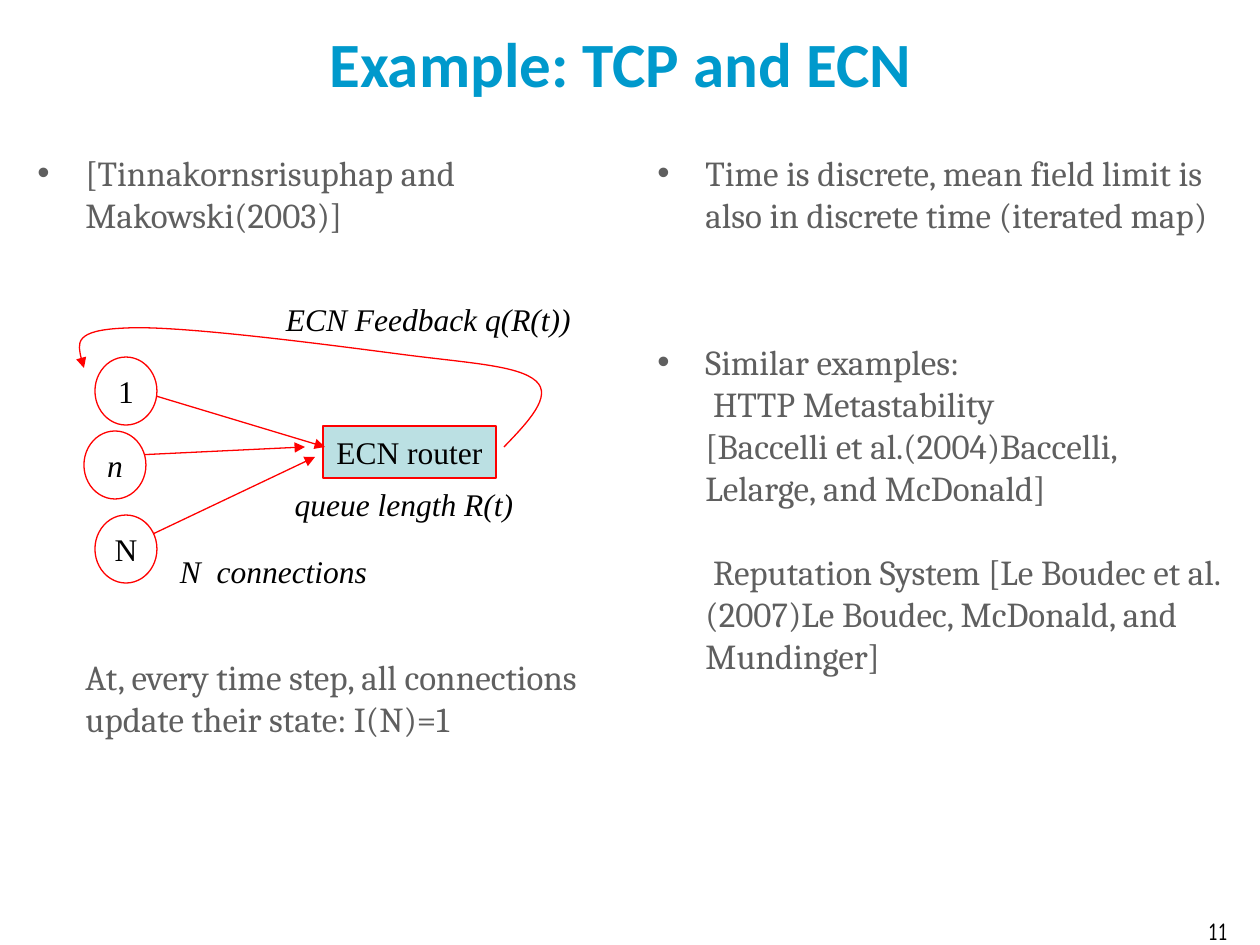
from dataclasses import dataclass

from lxml import etree
from pptx import Presentation
from pptx import util as u
from pptx.dml.color import RGBColor
from pptx.enum import shapes, text
from pptx.oxml import ns

PX = 914400 / 126
HUES = {"title": "0099CC", "body": "5F5F5F", "ink": "000000",
        "line": "FF0000", "router": "BBE0E3", "node": "FFFFFF"}
SERIF = "Times New Roman"


@dataclass
class Box:
    x: int
    y: int
    w: int
    h: int


@dataclass
class Item:
    words: str
    bullet: bool = False
    before: int = 0


@dataclass
class Label:
    words: str
    box: Box
    wrap: bool = False


@dataclass
class Node:
    words: str
    x: int
    y: int
    italic: bool = False


@dataclass
class Arrow:
    start: tuple[int, int]
    end: tuple[int, int]


def emu(n: int) -> int:
    return round(n * PX)


def rgb(name: str) -> RGBColor:
    return RGBColor.from_string(HUES[name])


def place(box: Box) -> list[int]:
    return [emu(n) for n in (box.x, box.y, box.w, box.h)]


def write(shape, items: list[Item], *, size: int = 18, font: str = SERIF,
          hue: str = "ink", bold: bool = False, italic: bool = False,
          center: bool = True, middle: bool = False, wrap: bool = True,
          indent: int = 0) -> None:
    frame = shape.text_frame
    frame.word_wrap = wrap
    frame.vertical_anchor = text.MSO_ANCHOR.MIDDLE if middle else text.MSO_ANCHOR.TOP
    for i, item in enumerate(items):
        para = frame.add_paragraph() if i else frame.paragraphs[0]
        para.text = item.words
        para.alignment = text.PP_ALIGN.CENTER if center else text.PP_ALIGN.LEFT
        para.space_before = u.Pt(item.before)
        props = para._p.get_or_add_pPr()
        if indent:
            props.set("marL", str(emu(indent)))
            props.set("indent", str(-emu(indent) if item.bullet else 0))
        if item.bullet:
            etree.SubElement(props, ns.qn("a:buFont"), typeface="Arial")
            etree.SubElement(props, ns.qn("a:buChar"), char="•")
        for run in para.runs:
            run.font.size = u.Pt(size)
            run.font.name = font
            run.font.bold = bold
            run.font.italic = italic
            run.font.color.rgb = rgb(hue)


def add_text(slide, box: Box, items: list[Item], **form) -> None:
    write(slide.shapes.add_textbox(*place(box)), items, **form)


def stroke(shape, head: bool = False) -> None:
    shape.line.color.rgb = rgb("line")
    shape.line.width = u.Pt(0.75)
    if head:
        etree.SubElement(shape.line._get_or_add_ln(), ns.qn("a:tailEnd"), type="triangle")


def add_shape(slide, kind, box: Box, hue: str, words: str, **form) -> None:
    shape = slide.shapes.add_shape(kind, *place(box))
    shape.shadow.inherit = False
    shape.fill.solid()
    shape.fill.fore_color.rgb = rgb(hue)
    stroke(shape)
    write(shape, [Item(words)], middle=True, **form)


def add_arrow(slide, arrow: Arrow) -> None:
    ends = [emu(n) for n in arrow.start + arrow.end]
    line = slide.shapes.add_connector(shapes.MSO_CONNECTOR.STRAIGHT, *ends)
    stroke(line, head=True)
    etree.SubElement(line._element.spPr, ns.qn("a:effectLst"))


def add_curve(slide, points: list[tuple[int, int]]) -> None:
    """Draw a Bezier curve: a start, then two handles and an end per segment."""
    pen = slide.shapes.build_freeform(*points[0], scale=PX)
    pen.add_line_segments(points[1:], close=False)
    curve = pen.convert_to_shape()
    curve.shadow.inherit = False
    curve.fill.background()
    stroke(curve, head=True)
    steps = list(curve._element.iter(ns.qn("a:lnTo")))
    for i in range(0, len(steps), 3):
        bend = etree.Element(ns.qn("a:cubicBezTo"))
        steps[i].addprevious(bend)
        for step in steps[i:i + 3]:
            bend.append(step[0])
            step.getparent().remove(step)


LEFT = [
    Item("[Tinnakornsrisuphap and Makowski(2003)]", True, 4),
    Item("At, every time step, all connections update their state: I(N)=1", before=240),
]
RIGHT = [
    Item("Time is discrete, mean field limit is also in discrete time (iterated map)", True, 4),
    Item("Similar examples:\n HTTP Metastability\n"
         "[Baccelli et al.(2004)Baccelli, Lelarge, and McDonald]", True, 60),
    Item(" Reputation System [Le Boudec et al.(2007)Le Boudec, McDonald, and Mundinger]",
         before=24),
]
ARROWS = [
    Arrow((116, 384), (325, 447)),
    Arrow((95, 457), (305, 447)),
    Arrow((136, 542), (315, 457)),
]
FEEDBACK = [(504, 447), (528, 422), (553, 396), (536, 381),
            (518, 365), (467, 363), (399, 354), (330, 345), (179, 325), (126, 328),
            (73, 330), (78, 349), (84, 368)]
LABELS = [
    Label("queue length R(t)", Box(282, 479, 244, 50)),
    Label("ECN Feedback q(R(t))", Box(273, 294, 311, 50)),
    Label("N  connections", Box(158, 546, 231, 50), True),
]
NODES = [Node("1", 95, 357), Node("n", 84, 431, True), Node("N", 95, 515)]


def main() -> None:
    deck = Presentation()
    deck.slide_width, deck.slide_height = u.Inches(10), u.Inches(7.5)
    slide = deck.slides.add_slide(deck.slide_layouts[6])

    # Title, two columns and page number
    add_text(slide, Box(15, 0, 1211, 125), [Item("Example: TCP and ECN")],
             size=36, font="Calibri", hue="title", bold=True, middle=True)
    for x, items in ((25, LEFT), (645, RIGHT)):
        add_text(slide, Box(x, 145, 600, 784), items, size=20, font="Cambria",
                 hue="body", center=False, indent=48)
    add_text(slide, Box(1176, 910, 84, 35), [Item("11")], size=14, font="Comic Neue")

    # Router and the flows into and out of it
    add_shape(slide, shapes.MSO_SHAPE.RECTANGLE, Box(323, 426, 173, 52),
              "router", "ECN router", wrap=False)
    for arrow in ARROWS:
        add_arrow(slide, arrow)
    add_curve(slide, FEEDBACK)

    # Diagram labels
    for label in LABELS:
        add_text(slide, label.box, [Item(label.words)], italic=True, wrap=label.wrap)

    # Connections
    for node in NODES:
        add_shape(slide, shapes.MSO_SHAPE.OVAL, Box(node.x, node.y, 62, 68),
                  "node", node.words, italic=node.italic, wrap=False)

    deck.save("out.pptx")


if __name__ == "__main__":
    main()
